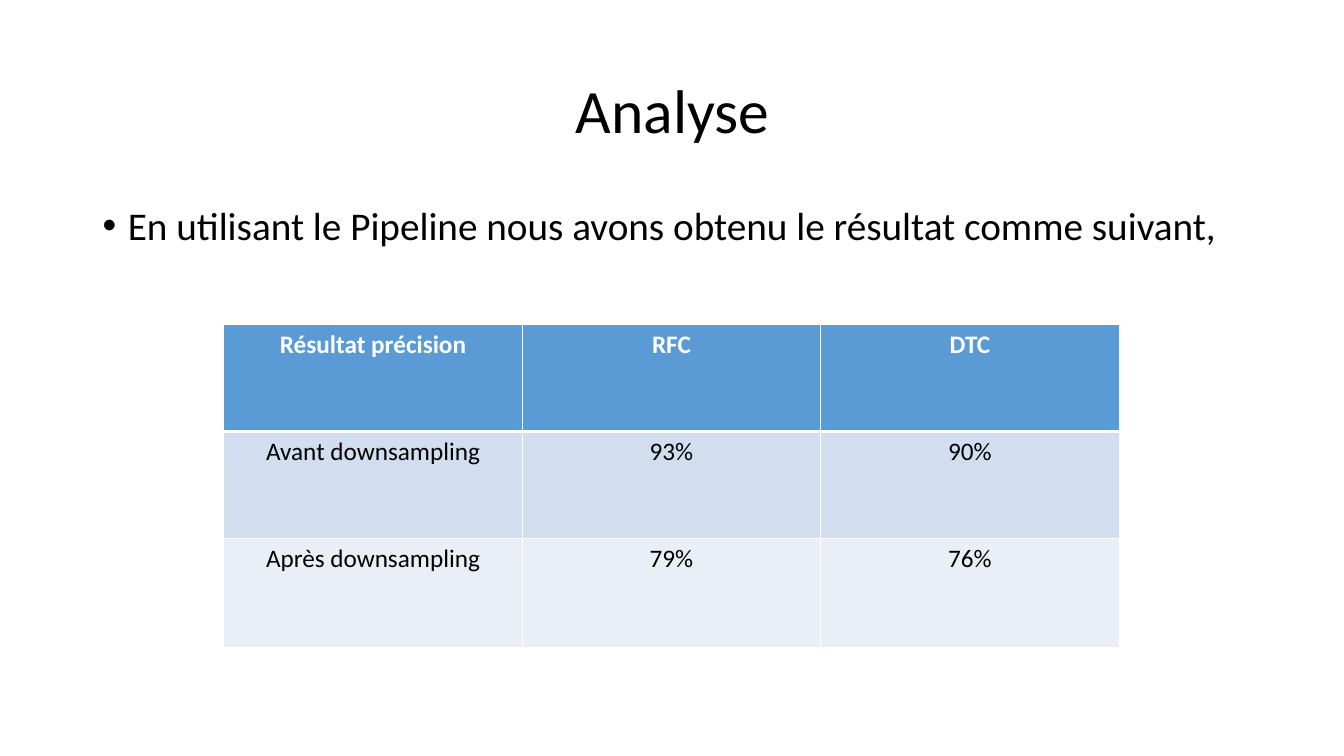
from dataclasses import dataclass

from lxml import etree
from pptx import Presentation, util as u
from pptx.dml.color import RGBColor
from pptx.enum import text
from pptx.oxml import ns


@dataclass(frozen=True)
class Theme:
    """Font, type sizes (points) and colours of the slide."""
    font: str = "Calibri"
    title_size: int = 44
    body_size: int = 28
    table_size: int = 18
    ink: str = "000000"
    white: str = "FFFFFF"
    header_fill: str = "5B9BD5"
    band_fills: tuple[str, str] = ("D2DEEF", "EAEFF7")
    thin_border: int = 1
    thick_border: int = 3


THEME = Theme()
RESULTS = [
    ("Résultat précision", "RFC", "DTC"),
    ("Avant downsampling", "93%", "90%"),
    ("Après downsampling", "79%", "76%"),
]
COLUMN_WIDTH = 2.96
ROW_HEIGHTS = (1.06, 1.06, 1.08)
MARGIN_LEFT, CONTENT_WIDTH = 0.92, 11.5


def style(paragraph, size: int, color: str, bold: bool = False) -> None:
    """Set the font of a whole paragraph."""
    font = paragraph.font
    font.name, font.size, font.bold = THEME.font, u.Pt(size), bold
    font.color.rgb = RGBColor.from_string(color)


def add_text(slide, top: float, height: float, wording: str, size: int,
             anchor: text.MSO_ANCHOR):
    """Add a content-wide text box and return its paragraph."""
    box = slide.shapes.add_textbox(u.Inches(MARGIN_LEFT), u.Inches(top),
                                   u.Inches(CONTENT_WIDTH), u.Inches(height))
    frame = box.text_frame
    frame.word_wrap = True
    frame.vertical_anchor = anchor
    paragraph = frame.paragraphs[0]
    paragraph.text = wording
    paragraph.line_spacing = 0.9
    style(paragraph, size, THEME.ink)
    return paragraph


def add_bullet(paragraph, indent: float) -> None:
    """Give a paragraph a round bullet with a hanging indent."""
    properties = paragraph._p.get_or_add_pPr()
    properties.set("marL", str(u.Inches(indent)))
    properties.set("indent", str(-u.Inches(indent)))
    font = etree.SubElement(properties, ns.qn("a:buFont"))
    font.set("typeface", "Arial")
    bullet = etree.SubElement(properties, ns.qn("a:buChar"))
    bullet.set("char", "•")
    # The schema wants bullets before the default run properties.
    properties.append(properties.find(ns.qn("a:defRPr")))


def add_borders(cell, row: int) -> None:
    """Draw white cell borders, thick between header and body."""
    properties = cell._tc.get_or_add_tcPr()
    thick_side = {0: "lnB", 1: "lnT"}.get(row)
    for side in ("lnL", "lnR", "lnT", "lnB"):
        width = THEME.thick_border if side == thick_side else THEME.thin_border
        line = etree.SubElement(properties, ns.qn(f"a:{side}"), w=str(u.Pt(width)))
        fill = etree.SubElement(line, ns.qn("a:solidFill"))
        etree.SubElement(fill, ns.qn("a:srgbClr"), val=THEME.white)


def add_results_table(slide, left: float, top: float) -> None:
    """Add the precision table with a header and banded rows."""
    columns = len(RESULTS[0])
    table = slide.shapes.add_table(
        len(RESULTS), columns, u.Inches(left), u.Inches(top),
        u.Inches(COLUMN_WIDTH * columns), u.Inches(sum(ROW_HEIGHTS))).table
    for column in table.columns:
        column.width = u.Inches(COLUMN_WIDTH)
    for row, (values, height) in enumerate(zip(RESULTS, ROW_HEIGHTS)):
        table.rows[row].height = u.Inches(height)
        header = row == 0
        fill = THEME.header_fill if header else THEME.band_fills[(row - 1) % 2]
        for column, value in enumerate(values):
            cell = table.cell(row, column)
            add_borders(cell, row)
            cell.fill.solid()
            cell.fill.fore_color.rgb = RGBColor.from_string(fill)
            cell.text = value
            paragraph = cell.text_frame.paragraphs[0]
            paragraph.alignment = text.PP_ALIGN.CENTER
            style(paragraph, THEME.table_size,
                  THEME.white if header else THEME.ink, bold=header)


def main() -> None:
    """Build and save the slide."""
    presentation = Presentation()
    presentation.slide_width = u.Inches(13.33)
    presentation.slide_height = u.Inches(7.5)
    slide = presentation.slides.add_slide(presentation.slide_layouts[6])

    title = add_text(slide, 0.4, 1.45, "Analyse", THEME.title_size,
                     text.MSO_ANCHOR.MIDDLE)
    title.alignment = text.PP_ALIGN.CENTER

    body = add_text(slide, 2, 4.76,
                    "En utilisant le Pipeline nous avons obtenu le résultat comme suivant,",
                    THEME.body_size, text.MSO_ANCHOR.TOP)
    body.space_before = u.Pt(10)
    add_bullet(body, 0.25)

    add_results_table(slide, 2.22, 3.22)
    presentation.save("out.pptx")


main()
